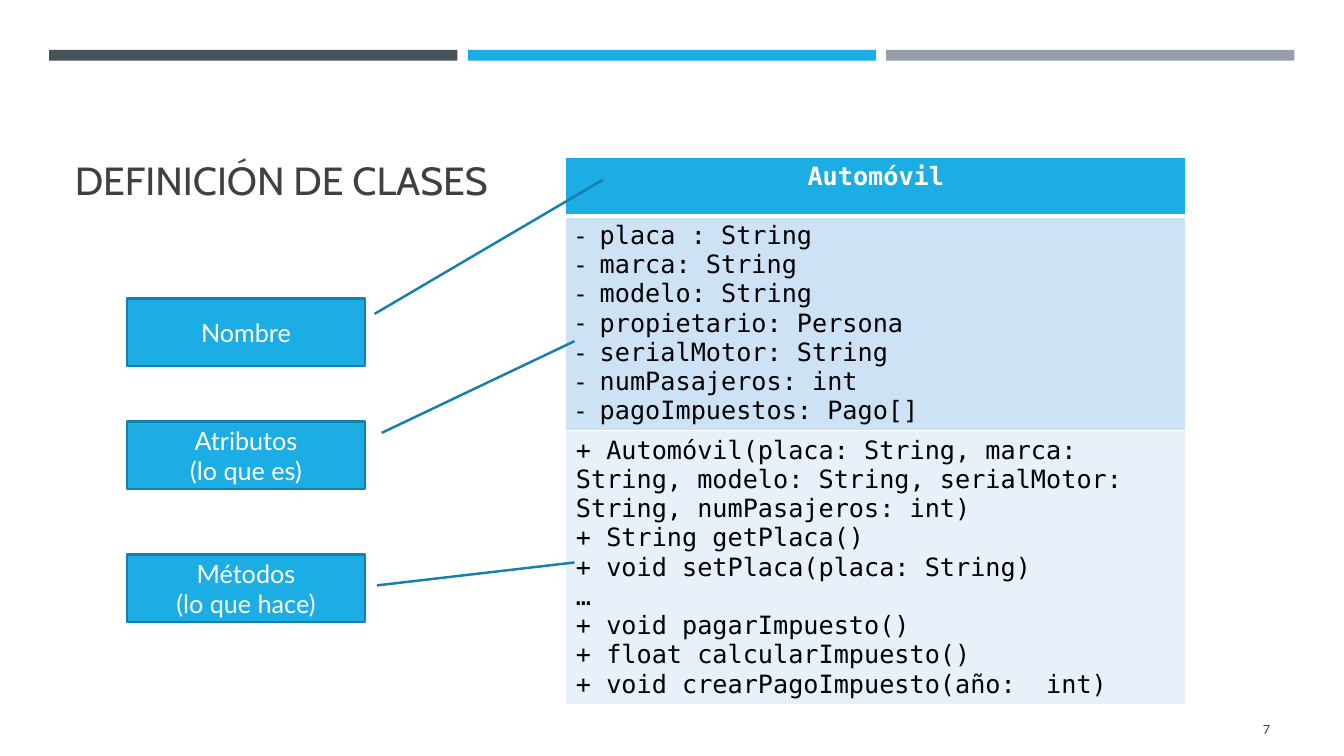
"""Build the slide that explains the parts of a class diagram."""
from dataclasses import dataclass

import lxml.etree
import pptx
import pptx.dml.color
import pptx.enum.shapes
import pptx.enum.text
import pptx.oxml.ns
import pptx.slide
import pptx.table
import pptx.text.text
import pptx.util

Cm = pptx.util.Cm
Pt = pptx.util.Pt
Align = pptx.enum.text.PP_ALIGN
Anchor = pptx.enum.text.MSO_ANCHOR
Kind = pptx.enum.shapes.MSO_SHAPE
qn = pptx.oxml.ns.qn

BLUE, EDGE, WHITE, BLACK, GREY = "1CADE4", "1580A9", "FFFFFF", "000000", "404040"
MONO, SANS, HEAD = "DejaVu Sans Mono", "Lato", "Cabin"


@dataclass
class Bar:
    left: float
    fill: str


@dataclass
class Label:
    top: float
    lines: list[str]
    line: tuple[float, ...]


@dataclass
class Part:
    height: float
    fill: str
    color: str
    lines: list[str]
    align: Align = Align.LEFT
    bold: bool = False
    dash: bool = False
    above: float = 1
    below: float = 1


BARS = [Bar(1.24, "465359"), Bar(11.79, BLUE), Bar(22.33, "969FA7")]

LABELS = [
    Label(7.52, ["Nombre"], (0.23, 1.04, -1.76, 2)),
    Label(10.62, ["Atributos", "(lo que es)"], (0.17, 1.07, -1.19, 1.88)),
    Label(13.97, ["Métodos", "(lo que hace)"], (0.46, 1.05, 0.12, 1.88)),
]

PARTS = [
    Part(1.47, BLUE, WHITE, ["Automóvil"], Align.CENTER, bold=True, below=3),
    Part(5.4, "CDE3F5", BLACK, [
        "placa : String",
        "marca: String",
        "modelo: String",
        "propietario: Persona",
        "serialMotor: String",
        "numPasajeros: int",
        "pagoImpuestos: Pago[]",
    ], dash=True, above=3),
    Part(6.9, "E8F1FA", BLACK, [
        "+ Automóvil(placa: String, marca: String, modelo: String, "
        "serialMotor: String, numPasajeros: int)",
        "+ String getPlaca()",
        "+ void setPlaca(placa: String)",
        "…",
        "+ void pagarImpuesto()",
        "+ float calcularImpuesto()",
        "+ void crearPagoImpuesto(año:  int)",
    ]),
]


def paint(item, color: str) -> None:
    """Give a fill or a line one solid colour."""
    if hasattr(item, "solid"):
        item.solid()
        item.fore_color.rgb = pptx.dml.color.RGBColor.from_string(color)
    else:
        paint(item.fill, color)


def write(frame: pptx.text.text.TextFrame, lines: list[str], size: float, font: str,
          color: str, align: Align, bold: bool = False) -> None:
    """Fill a text frame with one paragraph per line."""
    frame.text = "\n".join(lines)
    frame.word_wrap = True
    for para in frame.paragraphs:
        para.alignment = align
        para.font.size = Pt(size)
        para.font.name = font
        para.font.bold = bold
        paint(para.font.fill, color)


def draw_bar(slide: pptx.slide.Slide, bar: Bar) -> None:
    """Draw one of the strips along the top."""
    shape = slide.shapes.add_shape(Kind.RECTANGLE, Cm(bar.left), Cm(1.26), Cm(10.29), Cm(0.27))
    shape.shadow.inherit = False
    paint(shape.fill, bar.fill)
    shape.line.fill.background()


def draw_label(slide: pptx.slide.Slide, label: Label) -> None:
    """Draw a callout whose leader points into the table."""
    shape = slide.shapes.add_shape(
        Kind.LINE_CALLOUT_1, Cm(3.2), Cm(label.top), Cm(6), Cm(1.7))
    shape.shadow.inherit = False
    for index, value in enumerate(label.line):
        shape.adjustments[index] = value
    paint(shape.fill, BLUE)
    paint(shape.line, EDGE)
    shape.line.width = Pt(1.75)
    shape.text_frame.vertical_anchor = Anchor.MIDDLE
    write(shape.text_frame, label.lines, 18, SANS, WHITE, Align.CENTER)


def add_edge(cell: pptx.table._Cell, side: str, width: float) -> None:
    """Draw one white cell border."""
    props = cell._tc.get_or_add_tcPr()
    line = lxml.etree.SubElement(props, qn(f"a:ln{side}"), w=str(Pt(width)))
    fill = lxml.etree.SubElement(line, qn("a:solidFill"))
    lxml.etree.SubElement(fill, qn("a:srgbClr"), val=WHITE)


def add_dash(para: pptx.text.text._Paragraph) -> None:
    """Give a paragraph a dash bullet with a hanging indent."""
    props = para._p.get_or_add_pPr()
    props.set("marL", str(Cm(0.6)))
    props.set("indent", str(-Cm(0.6)))
    font = lxml.etree.Element(qn("a:buFont"), typeface=SANS)
    mark = lxml.etree.Element(qn("a:buChar"), char="-")
    props.insert(0, font)
    props.insert(1, mark)


def fill_cell(cell: pptx.table._Cell, part: Part) -> None:
    """Write and format one part of the class."""
    for side, width in (("L", 1), ("R", 1), ("T", part.above), ("B", part.below)):
        add_edge(cell, side, width)
    paint(cell.fill, part.fill)
    write(cell.text_frame, part.lines, 18, MONO, part.color, part.align, part.bold)
    if part.dash:
        for para in cell.text_frame.paragraphs:
            add_dash(para)


def draw_class(slide: pptx.slide.Slide) -> None:
    """Draw the class as a table with one part per row."""
    high = sum(part.height for part in PARTS)
    table = slide.shapes.add_table(
        len(PARTS), 1, Cm(14.26), Cm(3.97), Cm(15.62), Cm(high)).table
    for row, part in zip(table.rows, PARTS):
        row.height = Cm(part.height)
        fill_cell(row.cells[0], part)


def main() -> None:
    """Build and save the slide."""
    deck = pptx.Presentation()
    deck.slide_width, deck.slide_height = Cm(33.87), Cm(19.05)
    slide = deck.slides.add_slide(deck.slide_layouts[5])
    for bar in BARS:
        draw_bar(slide, bar)

    title = slide.shapes.title
    title.left, title.top, title.width, title.height = Cm(1.63), Cm(1.96), Cm(30.63), Cm(3.3)
    title.text_frame.vertical_anchor = Anchor.BOTTOM
    write(title.text_frame, ["DEFINICIÓN DE CLASES"], 28, HEAD, GREY, Align.LEFT)

    draw_class(slide)
    page = slide.shapes.add_textbox(Cm(29.34), Cm(17.86), Cm(2.92), Cm(1.02))
    page.text_frame.vertical_anchor = Anchor.MIDDLE
    write(page.text_frame, ["7"], 9, SANS, GREY, Align.RIGHT)
    for label in LABELS:
        draw_label(slide, label)
    deck.save("out.pptx")


if __name__ == "__main__":
    main()
